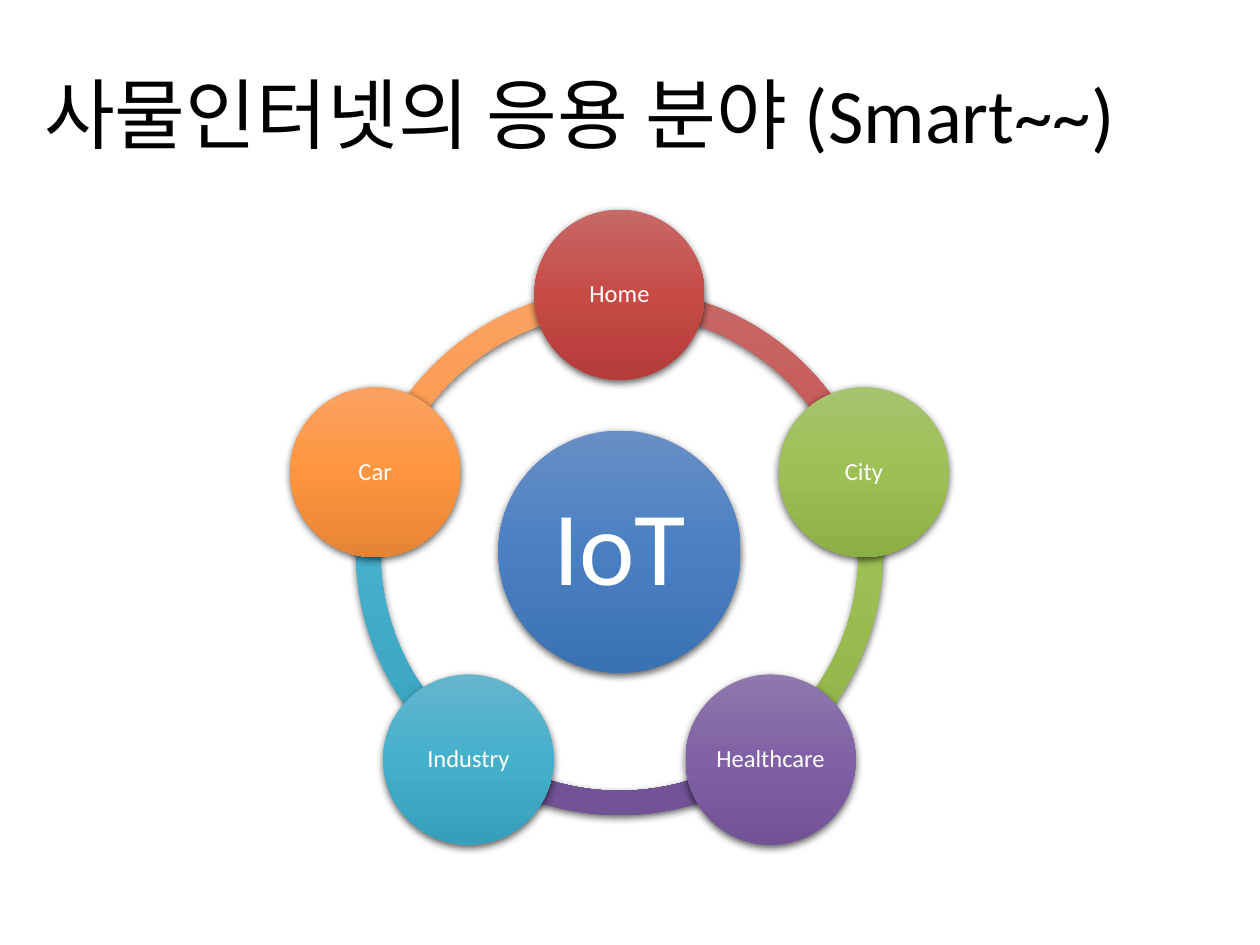
import math
from dataclasses import dataclass

import pptx
import pptx.dml.color
import pptx.enum.shapes
import pptx.enum.text
import pptx.oxml
import pptx.oxml.ns
import pptx.util

Cm = pptx.util.Cm
Kind = pptx.enum.shapes.MSO_SHAPE
Align = pptx.enum.text.PP_ALIGN


@dataclass(frozen=True)
class Theme:
    font: str = "Calibri"
    dark: str = "000000"
    light: str = "FFFFFF"
    title: int = 44
    hub: int = 60
    node: int = 14
    blue: tuple = ("688FC5", "4A80C3", "3B72B3")
    red: tuple = ("C76967", "C64B47", "B63C39")
    green: tuple = ("A6C36F", "9DC054", "8DB045")
    purple: tuple = ("8E78AC", "8061A5", "715396")
    teal: tuple = ("66B5CD", "45B0CC", "36A0BC")
    orange: tuple = ("FAA263", "FF953E", "E58435")


@dataclass(frozen=True)
class Node:
    label: str
    tones: tuple


THEME = Theme()
NODES = [
    Node("Home", THEME.red),
    Node("City", THEME.green),
    Node("Healthcare", THEME.purple),
    Node("Industry", THEME.teal),
    Node("Car", THEME.orange),
]
# Lengths in centimetres
MID_X, MID_Y = 12.49, 11.12
RING, HUB, DISC = 10.62, 4.88, 3.43
ORBIT = 5.18
STEP = 360 / len(NODES)
TOP = 270


def write(shape, text: str, *, size: int, color: str, align=Align.CENTER, pad=None):
    frame = shape.text_frame
    frame.word_wrap = True
    frame.vertical_anchor = pptx.enum.text.MSO_ANCHOR.MIDDLE
    if pad is not None:
        frame.margin_left = frame.margin_right = Cm(pad)
        frame.margin_top = frame.margin_bottom = Cm(pad)
    para = frame.paragraphs[0]
    para.alignment = align
    para.line_spacing = 0.9
    run = para.add_run()
    run.text = text
    run.font.name = THEME.font
    run.font.size = pptx.util.Pt(size)
    run.font.color.rgb = pptx.dml.color.RGBColor.from_string(color)


def shade(shape, tones: tuple):
    """Give a shape a top-down gradient, no outline and a soft shadow."""
    space = pptx.oxml.ns.nsdecls("a")
    stops = "".join(
        f'<a:gs pos="{pos}"><a:srgbClr val="{tone}"/></a:gs>'
        for pos, tone in zip((0, 50000, 100000), tones)
    )
    props = shape.fill._xPr
    props.append(pptx.oxml.parse_xml(
        f'<a:gradFill {space} rotWithShape="1"><a:gsLst>{stops}</a:gsLst>'
        '<a:lin ang="5400000" scaled="0"/></a:gradFill>'
    ))
    shape.line.fill.background()
    props.append(pptx.oxml.parse_xml(
        f'<a:effectLst {space}><a:outerShdw blurRad="57150" dist="19050" '
        'dir="5400000" algn="ctr" rotWithShape="0"><a:srgbClr val="000000">'
        '<a:alpha val="63000"/></a:srgbClr></a:outerShdw></a:effectLst>'
    ))


def round_shape(group, kind, x: float, y: float, size: float, tones: tuple):
    """Add a shaded square-framed shape centred on x, y."""
    shape = group.shapes.add_shape(
        kind, Cm(x - size / 2), Cm(y - size / 2), Cm(size), Cm(size)
    )
    shade(shape, tones)
    return shape


def add_arc(group, index: int, tones: tuple):
    arc = round_shape(group, Kind.BLOCK_ARC, MID_X, MID_Y, RING, tones)
    start = TOP + index * STEP
    # One degree is 60000 units, and adjustments count in 100000s
    arc.adjustments[0] = start % 360 * 0.6
    arc.adjustments[1] = (start + STEP) % 360 * 0.6
    arc.adjustments[2] = 0.046


def add_disc(group, index: int, node: Node):
    turn = math.radians(TOP + index * STEP)
    x = MID_X + ORBIT * math.cos(turn)
    y = MID_Y + ORBIT * math.sin(turn)
    disc = round_shape(group, Kind.OVAL, x, y, DISC, node.tones)
    write(disc, node.label, size=THEME.node, color=THEME.light, pad=0.05)


def main():
    deck = pptx.Presentation()
    deck.slide_width, deck.slide_height = Cm(25.4), Cm(19.05)
    slide = deck.slides.add_slide(deck.slide_layouts[6])

    title = slide.shapes.add_textbox(Cm(0.64), Cm(0.56), Cm(24.54), Cm(3.68))
    write(title, "사물인터넷의 응용 분야 (Smart~~)", size=THEME.title,
          color=THEME.dark, align=Align.LEFT)

    wheel = slide.shapes.add_group_shape()
    for index, node in reversed(list(enumerate(NODES))):
        add_arc(wheel, index, node.tones)
    hub = round_shape(wheel, Kind.OVAL, MID_X, MID_Y, HUB, THEME.blue)
    write(hub, "IoT", size=THEME.hub, color=THEME.light, pad=0.2)
    for index, node in enumerate(NODES):
        add_disc(wheel, index, node)

    deck.save("out.pptx")


if __name__ == "__main__":
    main()
